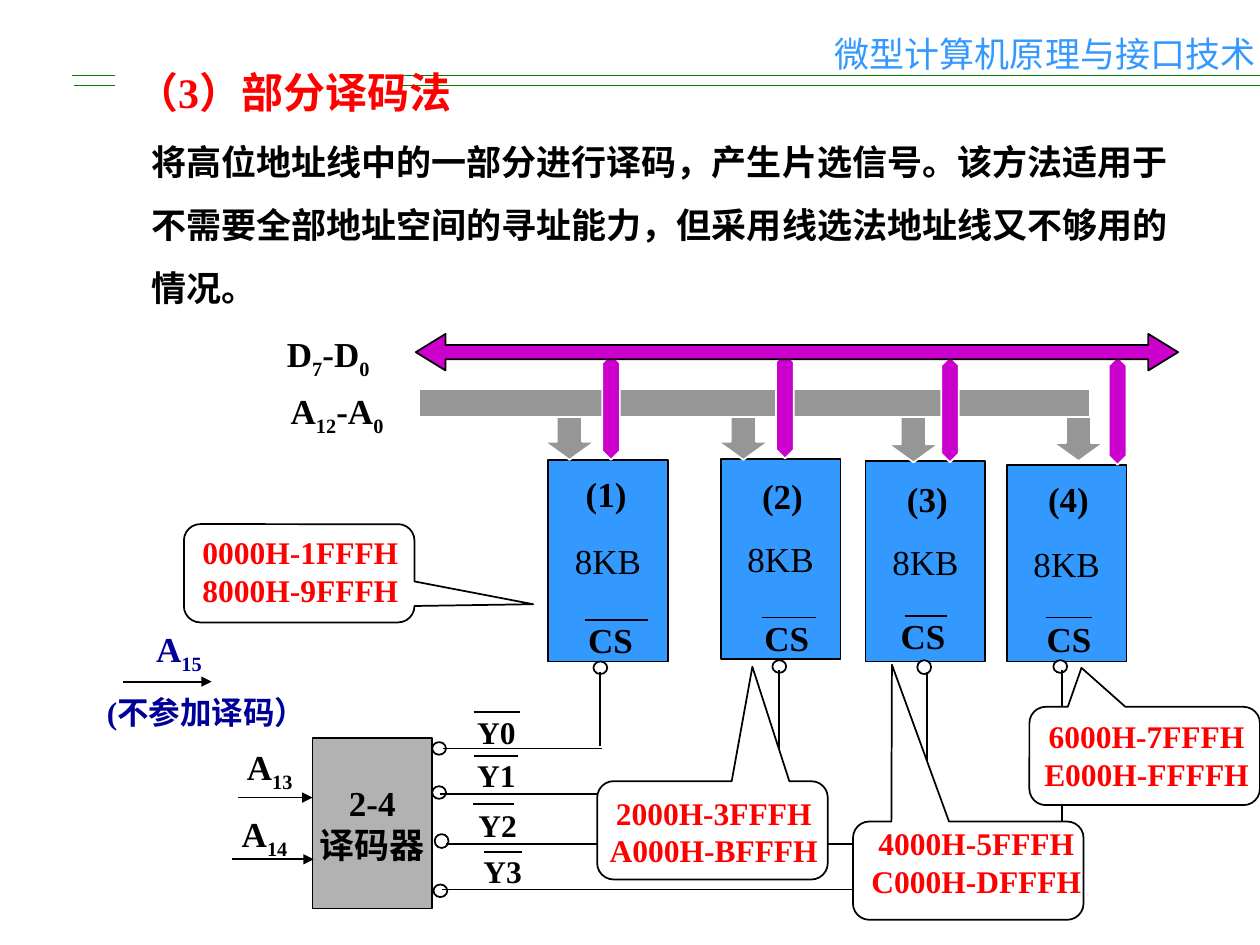
from lxml import etree
from pptx import Presentation
from pptx.dml import color
from pptx.enum import shapes, text
from pptx.oxml import ns
from pptx.util import Inches, Pt

BLACK, WHITE, RED, NAVY = "000000", "FFFFFF", "FF0000", "000099"
BLUE, GREEN, GRAY, SILVER, MAGENTA = "3399FF", "008000", "969696", "B2B2B2", "CC00CC"
SHAPE = shapes.MSO_SHAPE


def rgb(value):
    return color.RGBColor.from_string(value)


def write(frame, content, size=20, ink=BLACK, bold=True, align="CENTER", anchor="TOP",
          wrap=False, before=0, spacing=None, latin="Times New Roman"):
    frame.word_wrap = wrap
    frame.auto_size = text.MSO_AUTO_SIZE.NONE
    frame.vertical_anchor = getattr(text.MSO_ANCHOR, anchor)
    for index, line in enumerate(content.split("\n")):
        paragraph = frame.add_paragraph() if index else frame.paragraphs[0]
        paragraph.alignment = getattr(text.PP_ALIGN, align)
        paragraph.space_before = Pt(before)
        if spacing:
            paragraph.line_spacing = spacing
        for position, part in enumerate(line.split("~")):
            if not part:
                continue
            run = paragraph.add_run()
            run.text = part
            run.font.size, run.font.bold, run.font.name = Pt(size), bold, latin
            run.font.color.rgb = rgb(ink)
            properties = run._r.get_or_add_rPr()
            etree.SubElement(properties, ns.qn("a:ea"), typeface="Noto Sans CJK SC")
            if position % 2:
                properties.set("baseline", "-25000")


class Diagram:
    def __init__(self, slide):
        self.slide = slide
        self.shapes = slide.shapes

    def title(self, content, left, top, width, height, **style):
        heading = self.shapes.title
        heading.left, heading.top = Inches(left), Inches(top)
        heading.width, heading.height = Inches(width), Inches(height)
        self.shapes._spTree.append(heading._element)
        write(heading.text_frame, content, **style)

    def label(self, content, left, top, width, height, **style):
        box = self.shapes.add_textbox(*map(Inches, (left, top, width, height)))
        write(box.text_frame, content, **style)

    def shape(self, kind, left, top, width, height, fill=WHITE, outline=BLACK, adjust=()):
        part = self.shapes.add_shape(kind, *map(Inches, (left, top, width, height)))
        part.shadow.inherit = False
        part.fill.solid()
        part.fill.fore_color.rgb = rgb(fill)
        part.line.color.rgb = rgb(outline)
        part.line.width = Pt(1)
        for index, value in enumerate(adjust):
            part.adjustments[index] = value
        return part

    def block(self, content, left, top, width, height, fill, **style):
        part = self.shape(SHAPE.RECTANGLE, left, top, width, height, fill)
        write(part.text_frame, content, anchor="MIDDLE", **style)

    def line(self, x1, y1, x2, y2, ink=BLACK, weight=1, arrow=False):
        wire = self.shapes.add_connector(
            shapes.MSO_CONNECTOR.STRAIGHT, *map(Inches, (x1, y1, x2, y2)))
        wire.line.color.rgb = rgb(ink)
        wire.line.width = Pt(weight)
        if arrow:
            etree.SubElement(wire.line._get_or_add_ln(), ns.qn("a:tailEnd"), type="triangle")
        etree.SubElement(wire._element.spPr, ns.qn("a:effectLst"))

    def bubble(self, left, top, size=0.11):
        self.shape(SHAPE.OVAL, left, top, 0.11, size)

    def callout(self, content, left, top, pointer, text_left, text_top, text_width):
        self.shape(SHAPE.ROUNDED_RECTANGULAR_CALLOUT, left, top, 1.83, 0.78,
                   adjust=(*pointer, 0.167))
        self.label(content, text_left, text_top, text_width, 0.7, size=18, ink=RED)


def draw_heading(diagram):
    diagram.line(0.59, 0.68, 10, 0.68, GREEN, 0.75)
    diagram.label("微型计算机原理与接口技术", 6.89, 0.21, 2.81, 0.28,
                  ink=BLUE, bold=False, latin="Noto Sans CJK SC")
    diagram.line(0.57, 0.6, 10, 0.6, GREEN, 0.75)
    diagram.shape(SHAPE.RECTANGLE, 0.92, 0.41, 2.24, 0.63, outline=WHITE)
    diagram.title("（3）部分译码法", 0.98, 0.48, 3.19, 0.5, size=24, ink=RED,
                  align="LEFT", wrap=True, before=15)
    diagram.label("将高位地址线中的一部分进行译码，产生片选信号。该方法适用于"
                  "不需要全部地址空间的寻址能力，但采用线选法地址线又不够用的情况。",
                  1.1, 0.9, 8.52, 1.6, align="LEFT", wrap=True, before=12.5, spacing=1.5)


def draw_chips(diagram):
    chips = [
        (4.35, 3.65, 1.6, (4.55, 3.7), (4.57, 4.86), (4.64, 5.14, 4.92), (4.71, 5.25)),
        (5.72, 3.64, 1.59, (5.95, 3.72), (5.97, 4.84), (6.05, 6.48, 4.9), (6.13, 5.24)),
        (6.87, 3.66, 1.59, (7.1, 3.74), (7.05, 4.83), (7.18, 7.52, 4.89), (7.28, 5.24)),
        (7.99, 3.69, 1.56, (8.22, 3.74), (8.21, 4.85), (8.3, 8.67, 4.9), (8.36, 5.24)),
    ]
    for number, (left, top, height, tag, select, bar, pin) in enumerate(chips, 1):
        diagram.block("8KB", left, top, 0.95, height, BLUE, bold=False)
        diagram.label(f"({number})", *tag, 0.52, 0.44)
        diagram.label("CS", *select, 0.55, 0.44)
        start, end, height_of_bar = bar
        diagram.line(start, height_of_bar, end, height_of_bar)
        diagram.bubble(*pin, 0.11 if number == 3 else 0.1)


def draw_buses(diagram):
    for left, top in [(4.32, 3.08), (5.7, 3.08), (7.05, 3.1), (8.36, 3.09)]:
        diagram.shape(SHAPE.DOWN_ARROW, left, top, 0.4, 0.57, GRAY, WHITE, (0.5, 0.36))
    diagram.shape(SHAPE.RECTANGLE, 3.33, 3.09, 5.32, 0.22, GRAY, WHITE)
    diagram.label("A~12~-A~0", 2.08, 3.04, 1.19, 0.48, wrap=True)
    for left, top, height in [(4.78, 2.81, 0.84), (6.16, 2.8, 0.84),
                              (7.47, 2.83, 0.84), (8.8, 2.83, 0.86)]:
        diagram.shape(SHAPE.UP_DOWN_ARROW, left, top, 0.14, height, MAGENTA, WHITE, (0.5, 1.18))
    diagram.shape(SHAPE.LEFT_RIGHT_ARROW, 3.3, 2.65, 6.05, 0.29, MAGENTA,
                  adjust=(0.394, 0.814))
    diagram.label("D~7~-D~0", 1.68, 2.59, 1.85, 0.48, wrap=True)


def draw_decoder(diagram):
    diagram.block("2-4\n译码器", 2.48, 5.86, 0.95, 1.35, SILVER)
    outputs = [
        ((3.43, 5.89), (3.52, 4.78, 5.94), (4.76, 5.92, 5.33), (3.69, 5.61), (3.76, 4.13, 5.65)),
        ((3.43, 6.24), (3.49, 6.16, 6.3), (6.18, 6.3, 5.32), (3.69, 5.95), (3.76, 4.11, 6)),
        ((3.45, 6.62), (3.54, 7.33, 6.7), (7.36, 6.68, 5.33), (3.7, 6.35), (3.75, 4.08, 6.38)),
        ((3.44, 7.02), (3.51, 8.43, 7.06), (8.43, 7.06, 5.32), (3.74, 6.71), (3.84, 4.14, 6.76)),
    ]
    for number, (pin, across, rise, tag, bar) in enumerate(outputs):
        diagram.bubble(*pin, 0.11 if number == 2 else 0.1)
        for start, end, level in (across, bar):
            diagram.line(start, level, end, level)
        column, bottom, top = rise
        diagram.line(column, bottom, column, top)
        diagram.label(f"Y{number}", *tag, 0.5, 0.4, size=18)
    inputs = [
        ("A~13", 1.85, 5.87, 0.58, BLACK, 1.89, 2.48, 6.33),
        ("A~14", 1.81, 6.4, 0.58, BLACK, 1.84, 2.49, 6.82),
        ("A~15", 1.03, 4.93, 0.78, NAVY, 0.98, 1.68, 5.41),
    ]
    for name, left, top, width, ink, start, end, level in inputs:
        diagram.line(start, level, end, level, arrow=True)
        diagram.label(name, left, top, width, 0.48, ink=ink, wrap=True)
    diagram.label("(不参加译码）", 0.72, 5.45, 1.84, 0.4, size=18, ink=NAVY)


def draw_ranges(diagram):
    ranges = [
        ("0000H-1FFFH\n8000H-9FFFH", 1.46, 4.16, (1.015, 0.315), 1.51, 4.18, 1.75),
        ("2000H-3FFFH\nA000H-BFFFH", 4.74, 6.2, (0.173, -1.665), 4.74, 6.25, 1.85),
        ("4000H-5FFFH\nC000H-DFFFH", 6.77, 6.52, (-0.331, -2.096), 6.82, 6.49, 1.86),
        ("6000H-7FFFH\nE000H-FFFFH", 8.17, 5.61, (-0.274, -0.897), 8.19, 5.64, 1.82),
    ]
    for address_range in ranges:
        diagram.callout(*address_range)


def main():
    deck = Presentation()
    deck.slide_width, deck.slide_height = Inches(10), Inches(7.5)
    diagram = Diagram(deck.slides.add_slide(deck.slide_layouts[5]))
    for draw in (draw_heading, draw_chips, draw_buses, draw_decoder, draw_ranges):
        draw(diagram)
    deck.save("out.pptx")


if __name__ == "__main__":
    main()
